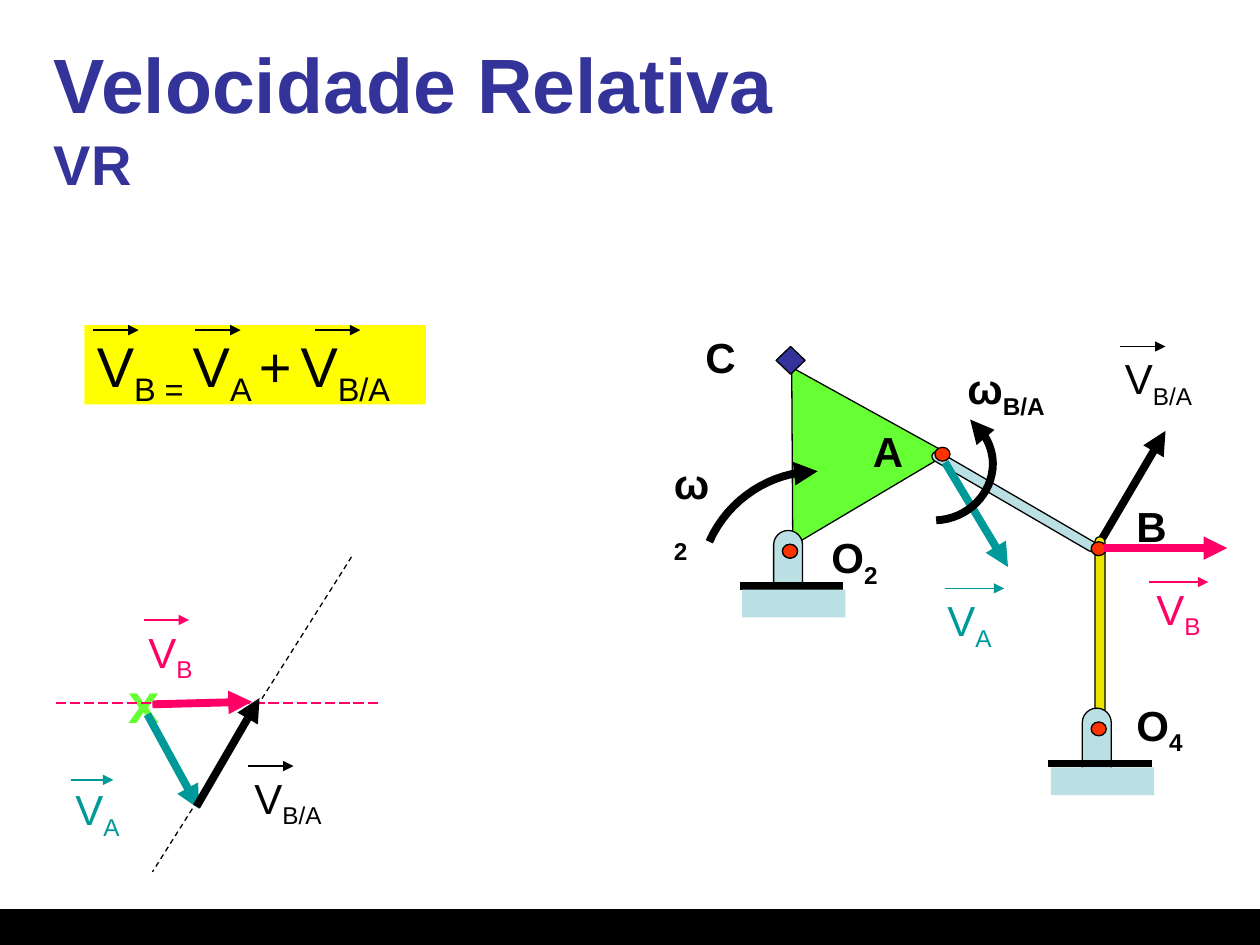
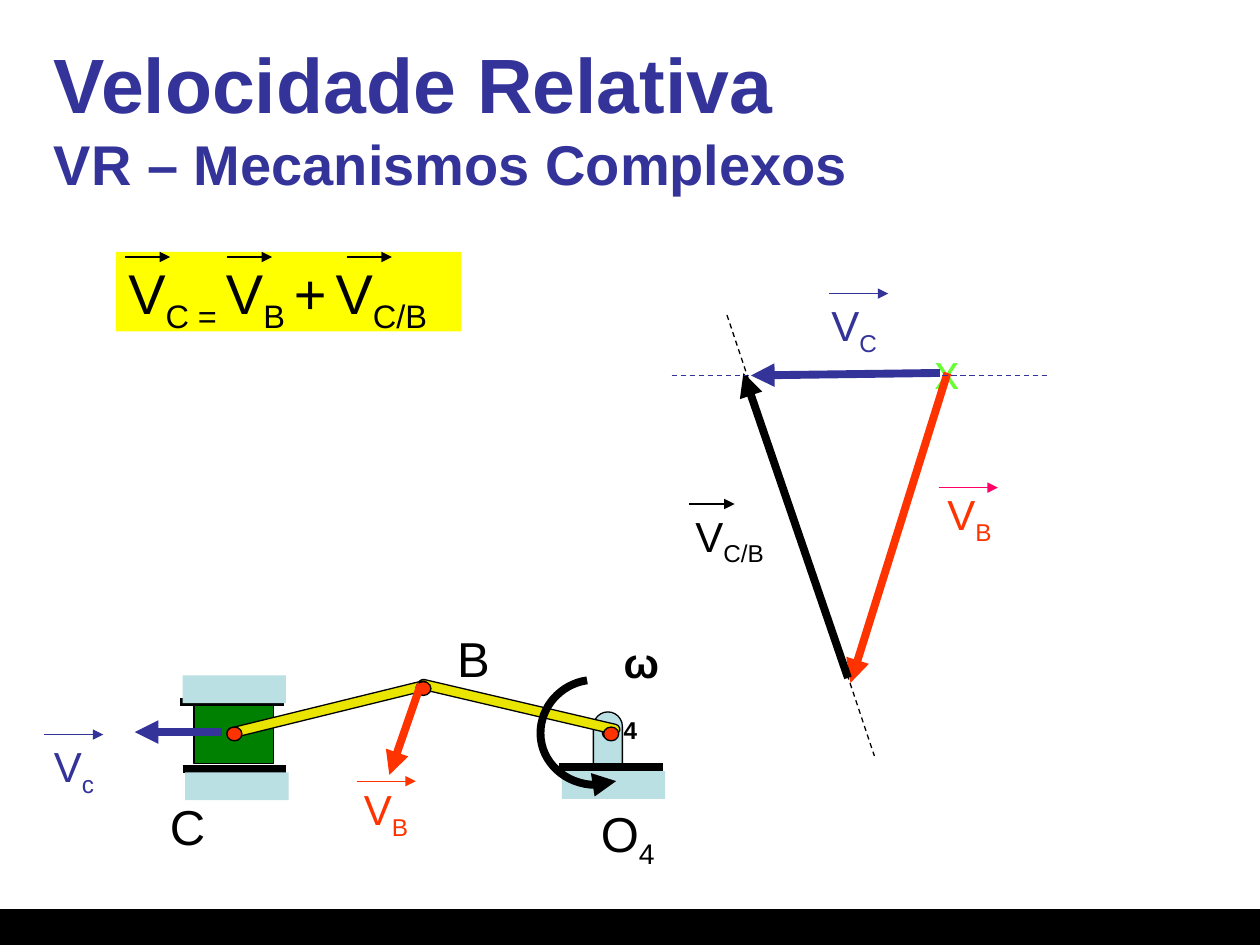
"""Builds two slides on relative velocity in mechanisms."""
from dataclasses import dataclass

from lxml import etree
from pptx import Presentation
from pptx.dml.color import RGBColor
from pptx.enum.dml import MSO_LINE
from pptx.enum.shapes import MSO_CONNECTOR, MSO_SHAPE
from pptx.enum.text import MSO_ANCHOR
from pptx.oxml.ns import qn
from pptx.util import Cm, Pt

STRAIGHT = MSO_CONNECTOR.STRAIGHT
RECTANGLE = MSO_SHAPE.RECTANGLE
ROUNDED = MSO_SHAPE.ROUNDED_RECTANGLE
TRIANGLE = MSO_SHAPE.ISOSCELES_TRIANGLE
DIAMOND = MSO_SHAPE.DIAMOND
ELLIPSE = MSO_SHAPE.OVAL
DASH = MSO_LINE.DASH
LONG_DASH = MSO_LINE.LONG_DASH
MIDDLE = MSO_ANCHOR.MIDDLE


@dataclass(frozen=True)
class Theme:
    """Colours, type sizes and line weights of both slides."""
    font: str = "Arial"
    black: str = "000000"
    navy: str = "333399"
    teal: str = "009999"
    pink: str = "FF0066"
    red: str = "FF3300"
    lime: str = "66FF33"
    green: str = "008000"
    steel: str = "BBE0E3"
    link: str = "E9E400"
    highlight: str = "FFFF00"
    title: int = 44
    subtitle: int = 32
    equation: int = 32
    point: int = 28
    label: int = 24
    thin: float = 0.75
    thick: float = 4.5


THEME = Theme()


def length(inches):
    """Convert inches to a slide length."""
    return Cm(inches * 2.54)


def lengths(*values):
    """Convert several inch values to slide lengths."""
    return [length(value) for value in values]


def colour(value):
    """Return the RGB colour of a hex string."""
    return RGBColor.from_string(value)


def style_line(line, line_colour, weight):
    """Set the colour and weight of a line."""
    line.color.rgb = colour(line_colour)
    line.width = Pt(weight)


def add_arrowhead(shape):
    """Put a triangular arrowhead at the end of a line."""
    line = shape._element.spPr.find(qn("a:ln"))
    etree.SubElement(line, qn("a:tailEnd"), type="triangle")


def add_solid(slide, kind, box, fill, outlined=True, rotation=0):
    """Add a filled preset shape."""
    shape = slide.shapes.add_shape(kind, *lengths(*box))
    shape.shadow.inherit = False
    shape.fill.solid()
    shape.fill.fore_color.rgb = colour(fill)
    shape.rotation = rotation
    if kind == ROUNDED:
        shape.adjustments[0] = 0.5
    if outlined:
        style_line(shape.line, THEME.black, THEME.thin)
    else:
        shape.line.fill.background()


def add_line(slide, start, end, line_colour, weight=THEME.thin, dash=None):
    """Add a straight line and return it."""
    line = slide.shapes.add_connector(STRAIGHT, *lengths(*start, *end))
    style_line(line.line, line_colour, weight)
    if dash is not None:
        line.line.dash_style = dash
    etree.SubElement(line._element.spPr, qn("a:effectLst"))
    return line


def add_arrow(slide, start, end, line_colour, weight=THEME.thick):
    """Add a straight arrow from start to end."""
    add_arrowhead(add_line(slide, start, end, line_colour, weight))


def bezier_points(start, curves, steps=16):
    """Sample a chain of cubic curves, each given by three points."""
    points = [start]
    for control_a, control_b, end in curves:
        corners = (points[-1], control_a, control_b, end)
        for step in range(1, steps + 1):
            t = step / steps
            weights = ((1 - t) ** 3, 3 * t * (1 - t) ** 2, 3 * t * t * (1 - t), t ** 3)
            points.append(tuple(
                sum(weight * corner[axis] for weight, corner in zip(weights, corners))
                for axis in (0, 1)))
    return points


def add_curved_arrow(slide, start, *curves):
    """Add a thick rotation arrow that follows cubic curves."""
    points = [lengths(*point) for point in bezier_points(start, curves)]
    builder = slide.shapes.build_freeform(*points[0])
    builder.add_line_segments(points[1:], close=False)
    shape = builder.convert_to_shape()
    shape.shadow.inherit = False
    shape.fill.background()
    style_line(shape.line, THEME.black, THEME.thick)
    add_arrowhead(shape)


def add_run(paragraph, text, size, text_colour, bold=False, subscript=False):
    """Add one run of text to a paragraph."""
    run = paragraph.add_run()
    run.text = text
    run.font.name = THEME.font
    run.font.size = Pt(size)
    run.font.bold = bold
    run.font.color.rgb = colour(text_colour)
    if subscript:
        run._r.get_or_add_rPr().set("baseline", "-25000")


def add_label(slide, box, parts, text_colour=THEME.black, size=THEME.label,
              bold=False, wrap=False):
    """Add a text box whose parts alternate between normal and subscript."""
    shape = slide.shapes.add_textbox(*lengths(*box))
    shape.text_frame.word_wrap = wrap
    for index, part in enumerate(parts):
        add_run(shape.text_frame.paragraphs[0], part, size, text_colour, bold,
                subscript=index % 2 == 1)
    return shape


def add_vector_label(slide, box, subscript, text_colour, bar, bar_colour=None):
    """Add a V label; bar gives left, top and width of the arrow above it."""
    add_label(slide, (*box, 0.5), ("V", subscript), text_colour)
    left, top, width = bar
    add_arrow(slide, (left, top), (left + width, top), bar_colour or text_colour,
              THEME.thin)


def add_equation(slide, left, top, width, parts):
    """Add the highlighted vector equation with an arrow over each V."""
    shape = add_label(slide, (left, top, width, 0.63), parts,
                      size=THEME.equation, wrap=True)
    shape.fill.solid()
    shape.fill.fore_color.rgb = colour(THEME.highlight)
    for offset in (0.07, 0.88, 1.83):
        start = left + offset
        add_arrow(slide, (start, top + 0.04), (start + 0.36, top + 0.04),
                  THEME.black, THEME.thin)


def add_pin(slide, left, top):
    """Add a red joint."""
    add_solid(slide, ELLIPSE, (left, top, 0.12, 0.11), THEME.red)


def add_ground(slide, left, top, block_offset=0.03):
    """Add a fixed surface: a thick line and its block."""
    add_line(slide, (left, top), (left + 0.82, top), THEME.black, THEME.thick)
    add_solid(slide, RECTANGLE, (left + 0.02, top + block_offset, 0.82, 0.22),
              THEME.steel, outlined=False)


def add_support(slide, left, top):
    """Add a grounded bracket with its joint."""
    add_solid(slide, ROUNDED, (left, top, 0.23, 0.65), THEME.steel)
    add_pin(slide, left + 0.07, top + 0.11)
    add_ground(slide, left - 0.27, top + 0.44)


def add_base_slide(presentation, subtitle):
    """Add a slide with the bottom band and the two-line title."""
    slide = presentation.slides.add_slide(presentation.slide_layouts[6])
    add_solid(slide, RECTANGLE, (0, 7.22, 10, 0.28), THEME.black)
    title = slide.shapes.add_textbox(*lengths(0.33, 0.3, 9.33, 1.25))
    title.text_frame.word_wrap = True
    title.text_frame.vertical_anchor = MIDDLE
    paragraph = title.text_frame.paragraphs[0]
    add_run(paragraph, "Velocidade Relativa", THEME.title, THEME.navy, bold=True)
    paragraph.add_line_break()
    add_run(paragraph, subtitle, THEME.subtitle, THEME.navy, bold=True)
    return slide


def draw_four_bar(slide):
    """Draw the four-bar mechanism and its velocities."""
    add_solid(slide, ROUNDED, (8.69, 4.26, 0.08, 1.57), THEME.link)
    add_solid(slide, TRIANGLE, (5.88, 2.83, 1.43, 1.22), THEME.lime, rotation=329.3)
    add_support(slide, 8.59, 5.62)
    add_solid(slide, ROUNDED, (8.01, 3.23, 0.08, 1.5), THEME.steel, rotation=300.2)
    add_solid(slide, DIAMOND, (6.16, 2.75, 0.23, 0.22), THEME.navy)
    add_support(slide, 6.14, 4.21)
    for pin in ((8.66, 4.3), (6.21, 4.32), (7.42, 3.55)):
        add_pin(slide, *pin)
    add_curved_arrow(slide, (5.63, 4.3), ((5.78, 3.96), (6.12, 3.74), (6.49, 3.74)))
    add_label(slide, (5.25, 3.58, 0.55, 0.5), ("ω", "2"), bold=True, wrap=True)
    add_arrow(slide, (7.5, 3.67), (8, 4.5), THEME.teal)
    add_vector_label(slide, (7.42, 4.67, 0.57), "A", THEME.teal, (7.5, 4.67, 0.47))
    add_arrow(slide, (8.76, 4.35), (9.74, 4.35), THEME.pink)
    add_vector_label(slide, (9.08, 4.58, 0.57), "B", THEME.pink, (9.12, 4.62, 0.47))
    for left, top, width, parts in (
            (6.5, 4.17, 0.58, ("O", "2")), (8.92, 5.5, 0.58, ("O", "4")),
            (8.92, 3.92, 0.44, ("B",)), (6.83, 3.33, 0.44, ("A",)),
            (5.5, 2.58, 0.44, ("C",))):
        add_label(slide, (left, top, width, 0.5), parts, bold=True)
    add_label(slide, (7.58, 2.83, 1, 0.5), ("ω", "B/A"), bold=True, wrap=True)
    add_vector_label(slide, (8.83, 2.75, 0.78), "B/A", THEME.black, (8.89, 2.75, 0.36))
    add_curved_arrow(slide, (7.43, 4.13), ((7.68, 4.12), (7.88, 3.92), (7.88, 3.68)),
                     ((7.88, 3.55), (7.81, 3.42), (7.7, 3.33)))
    add_arrow(slide, (8.75, 4.27), (9.25, 3.42), THEME.black)


def draw_four_bar_polygon(slide):
    """Draw the velocity polygon of the four-bar mechanism."""
    add_arrow(slide, (1.21, 5.59), (2, 5.57), THEME.pink)
    add_label(slide, (0.92, 5.25, 0.45, 0.63), ("x",), THEME.lime,
              THEME.equation, bold=True)
    add_arrow(slide, (1.17, 5.67), (1.58, 6.42), THEME.teal)
    add_vector_label(slide, (0.5, 6.17, 0.57), "A", THEME.teal, (0.56, 6.19, 0.34))
    add_line(slide, (2.79, 4.42), (1.21, 6.92), THEME.black, dash=DASH)
    add_line(slide, (3, 5.58), (0.42, 5.58), THEME.pink, dash=LONG_DASH)
    add_vector_label(slide, (1.08, 4.92, 0.57), "B", THEME.pink, (1.14, 4.92, 0.36))
    add_vector_label(slide, (1.92, 6.08, 0.78), "B/A", THEME.black, (1.97, 6.08, 0.36))
    add_arrow(slide, (1.56, 6.4), (2.06, 5.54), THEME.black)


def draw_slider_crank(slide):
    """Draw the slider-crank mechanism and its velocities."""
    add_solid(slide, RECTANGLE, (1.54, 5.59, 0.63, 0.47), THEME.green)
    add_support(slide, 4.71, 5.65)
    add_solid(slide, ROUNDED, (4.08, 4.79, 0.08, 1.64), THEME.link, rotation=283.2)
    add_pin(slide, 4.79, 5.77)
    add_solid(slide, ROUNDED, (2.56, 4.81, 0.08, 1.64), THEME.link, rotation=76.2)
    add_pin(slide, 3.3, 5.41)
    add_pin(slide, 1.8, 5.77)
    add_ground(slide, 1.45, 6.1)
    add_ground(slide, 1.43, 5.57, block_offset=-0.21)
    for left, top, width, parts in ((4.67, 6.33, 0.65, ("O", "4")),
                                    (3.53, 4.94, 0.46, ("B",)),
                                    (1.25, 6.27, 0.48, ("C",))):
        add_label(slide, (left, top, width, 0.57), parts, size=THEME.point)
    add_arrow(slide, (1.76, 5.81), (1.07, 5.81), THEME.navy)
    add_vector_label(slide, (0.33, 5.83, 0.53), "c", THEME.navy, (0.35, 5.83, 0.47))
    add_arrow(slide, (3.34, 5.43), (3.09, 6.15), THEME.red)
    add_vector_label(slide, (2.79, 6.17, 0.57), "B", THEME.red, (2.83, 6.2, 0.47))
    add_curved_arrow(slide, (4.66, 5.4), ((4.45, 5.43), (4.29, 5.61), (4.29, 5.82)),
                     ((4.29, 6.05), (4.49, 6.23), (4.73, 6.23)),
                     ((4.78, 6.23), (4.84, 6.22), (4.89, 6.2)))
    add_label(slide, (4.85, 5, 0.55, 0.5), ("ω", "4"), bold=True, wrap=True)


def draw_slider_crank_polygon(slide):
    """Draw the velocity polygon of the slider-crank mechanism."""
    add_label(slide, (7.32, 2.65, 0.4, 0.57), ("x",), THEME.lime, THEME.point)
    add_arrow(slide, (7.46, 2.96), (5.96, 2.98), THEME.navy)
    add_vector_label(slide, (6.5, 2.33, 0.58), "C", THEME.navy, (6.58, 2.33, 0.47))
    add_arrow(slide, (7.52, 2.96), (6.75, 5.42), THEME.red)
    add_vector_label(slide, (7.42, 3.83, 0.57), "B", THEME.red, (7.45, 3.87, 0.47),
                     THEME.pink)
    add_arrow(slide, (6.73, 5.38), (5.9, 2.96), THEME.black)
    add_vector_label(slide, (5.42, 4, 0.79), "C/B", THEME.black, (5.47, 4, 0.36))
    add_line(slide, (5.33, 2.98), (8.33, 2.98), THEME.navy, dash=DASH)
    add_line(slide, (5.77, 2.5), (6.94, 6), THEME.black, dash=DASH)


def main():
    """Build and save the presentation."""
    presentation = Presentation()
    presentation.slide_width, presentation.slide_height = lengths(10, 7.5)

    slide = add_base_slide(presentation, "VR")
    draw_four_bar(slide)
    draw_four_bar_polygon(slide)
    add_equation(slide, 0.67, 2.58, 2.71,
                 ("V", "B = ", "V", "A ", "+", " ", "V", "B/A"))

    slide = add_base_slide(presentation, "VR – Mecanismos Complexos")
    draw_slider_crank(slide)
    add_equation(slide, 0.92, 2, 2.74,
                 ("V", "C = ", "V", "B ", "+", " ", "V", "C/B"))
    draw_slider_crank_polygon(slide)

    presentation.save("out.pptx")


if __name__ == "__main__":
    main()
